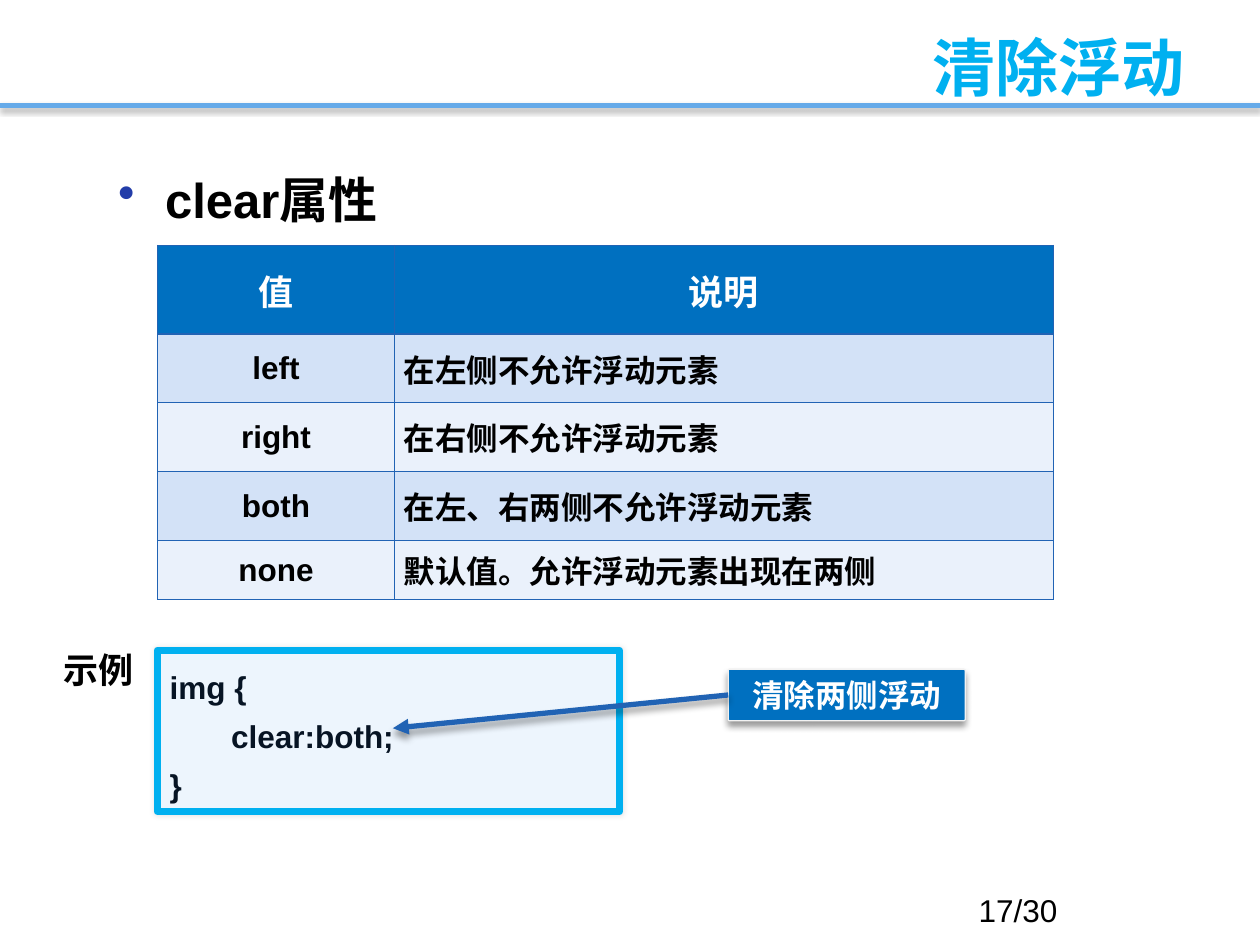
import lxml.etree
import pptx
import pptx.dml.color
import pptx.enum.shapes
import pptx.enum.text
import pptx.oxml.ns
import pptx.util
from pptx.util import Cm, Pt

ALIGN = pptx.enum.text.PP_ALIGN
ANCHOR = pptx.enum.text.MSO_ANCHOR
SHAPE = pptx.enum.shapes.MSO_SHAPE
STRAIGHT = pptx.enum.shapes.MSO_CONNECTOR.STRAIGHT
BLUE, SKY, NAVY = "0070C0", "00B0F0", "2163B4"


def rgb(value):
    """Turn a hex string into a colour."""
    return pptx.dml.color.RGBColor.from_string(value)


def add_xml(parent, tag, **attributes):
    """Append a DrawingML child element and return it."""
    return lxml.etree.SubElement(parent, pptx.oxml.ns.qn("a:" + tag), attributes)


def add_shadow(properties, opacity, blur, distance):
    """Give shape or text properties a black shadow falling downwards."""
    shadow = add_xml(add_xml(properties, "effectLst"), "outerShdw", blurRad=str(Pt(blur)),
                     dist=str(Pt(distance)), dir="5400000", algn="t", rotWithShape="0")
    add_xml(add_xml(shadow, "srgbClr", val="000000"), "alpha", val=str(opacity * 1000))


def style(paragraph, size, color="000000", bold=True, align=ALIGN.LEFT, font="Arial"):
    """Set the font and alignment of a paragraph."""
    paragraph.alignment = align
    paragraph.font.name = font
    paragraph.font.size = Pt(size)
    paragraph.font.bold = bold
    paragraph.font.color.rgb = rgb(color)


def add_text(slide, box, text, size, anchor=ANCHOR.TOP, wrap=True, **look):
    """Add a one-paragraph text box and return its paragraph."""
    frame = slide.shapes.add_textbox(*map(Cm, box)).text_frame
    frame.word_wrap = wrap
    frame.vertical_anchor = anchor
    paragraph = frame.paragraphs[0]
    paragraph.text = text
    style(paragraph, size, **look)
    return paragraph


def add_line(slide, start, end, color):
    """Draw a straight three-point line."""
    line = slide.shapes.add_connector(STRAIGHT, *map(Cm, (*start, *end)))
    line.line.color.rgb = rgb(color)
    line.line.width = Pt(3)
    return line


def add_panel(slide, box, kind, fill, border, weight):
    """Draw a filled and outlined shape."""
    panel = slide.shapes.add_shape(kind, *map(Cm, box))
    panel.shadow.inherit = False
    panel.fill.solid()
    panel.fill.fore_color.rgb = rgb(fill)
    panel.line.color.rgb = rgb(border)
    panel.line.width = Pt(weight)
    panel.text_frame.word_wrap = True
    return panel


def replace_shadow(shape, opacity, blur, distance):
    """Swap the empty effect list of a shape for a shadow."""
    properties = shape._element.spPr
    for effects in properties.findall(pptx.oxml.ns.qn("a:effectLst")):
        properties.remove(effects)
    add_shadow(properties, opacity, blur, distance)


def add_header(slide, box):
    """Place the title above the rule that closes the header."""
    left, top, width, height = box
    rule = add_line(slide, (left, top + height), (left + width, top + height), "65AAE9")
    replace_shadow(rule, 35, 3.1, 1.8)
    add_text(slide, (left + 8.28, top + 0.33, 15.85, 2), "清除浮动", 36,
             anchor=ANCHOR.MIDDLE, color=SKY, align=ALIGN.RIGHT)


def add_topic(slide, box):
    """Place the bulleted topic."""
    topic = add_text(slide, box, "clear属性", 28)
    properties = topic._p.get_or_add_pPr()
    properties.set("marL", str(Cm(0.95)))
    properties.set("indent", str(Cm(-0.95)))
    bullet_color = lxml.etree.Element(pptx.oxml.ns.qn("a:buClr"))
    add_xml(bullet_color, "srgbClr", val="233DA9")
    bullet = lxml.etree.Element(pptx.oxml.ns.qn("a:buChar"), char="•")
    properties.insert(0, bullet_color)
    properties.insert(1, bullet)


def fill_cell(cell, text, size, color, fill, align):
    """Write a table cell and set its borders and fill."""
    cell.text = text
    cell.vertical_anchor = ANCHOR.MIDDLE
    cell.margin_left = cell.margin_right = Cm(0.19)
    cell.margin_top = cell.margin_bottom = 0
    style(cell.text_frame.paragraphs[0], size, color, align=align)
    for side in ("lnL", "lnR", "lnT", "lnB"):
        border = add_xml(cell._tc.get_or_add_tcPr(), side, w=str(Pt(1)))
        add_xml(add_xml(border, "solidFill"), "srgbClr", val=NAVY)
    cell.fill.solid()
    cell.fill.fore_color.rgb = rgb(fill)


def add_values(slide, box):
    """Place the table of property values."""
    entries = [("值", "说明"), ("left", "在左侧不允许浮动元素"), ("right", "在右侧不允许浮动元素"),
               ("both", "在左、右两侧不允许浮动元素"), ("none", "默认值。允许浮动元素出现在两侧")]
    values = slide.shapes.add_table(len(entries), 2, *map(Cm, box)).table
    value_width = 4.77
    for column, width in zip(values.columns, (value_width, box[2] - value_width)):
        column.width = Cm(width)
    for row, height in zip(values.rows, (1.78, 1.39, 1.39, 1.39, 1.19)):
        row.height = Cm(height)
    for r, entry in enumerate(entries):
        header = r == 0
        fill = BLUE if header else ("EAF1FB", "D3E2F7")[r % 2]
        for c, text in enumerate(entry):
            align = ALIGN.CENTER if header or c == 0 else ALIGN.LEFT
            fill_cell(values.cell(r, c), text, 20 if header else 18,
                      "FFFFFF" if header else "000000", fill, align)


def add_example(slide, box):
    """Place the label, the code and the callout that points into it."""
    left, top, width, height = box
    code = add_panel(slide, (left + 2.13, top + 0.18, 9.32, height - 0.18),
                     SHAPE.RECTANGLE, "EDF5FD", SKY, 4)
    replace_shadow(code, 10, 3, 0)
    code.text_frame.vertical_anchor = ANCHOR.TOP
    code.text_frame.text = "img {\n\tclear:both;\n}"
    for line in code.text_frame.paragraphs:
        tabs = add_xml(line._p.get_or_add_pPr(), "tabLst")
        add_xml(tabs, "tab", pos=str(Cm(1.24)), algn="l")
        style(line, 18, "071424")
        line.line_spacing = 1.3

    label = add_text(slide, (left, top, 1.96, 1.12), "示例", 20, anchor=ANCHOR.MIDDLE,
                     wrap=False, font="Noto Sans CJK SC")
    add_shadow(label.runs[0]._r.get_or_add_rPr(), 40, 3, 2)

    callout = add_panel(slide, (left + width - 4.78, top + 0.56, 4.78, 1.04),
                        SHAPE.ROUNDED_RECTANGLE, BLUE, "F2F2F2", 0.75)
    callout.adjustments[0] = 0.03
    replace_shadow(callout, 40, 4, 3)
    callout.text_frame.vertical_anchor = ANCHOR.BOTTOM
    callout.text_frame.text = "清除两侧浮动"
    style(callout.text_frame.paragraphs[0], 18, "FFFFFF", align=ALIGN.CENTER)

    tip = (left + 6.88, top + 1.75)
    arrow = add_line(slide, tip, tip, NAVY)
    arrow.begin_connect(callout, 1)
    add_xml(arrow.line._get_or_add_ln(), "tailEnd", type="triangle")
    replace_shadow(arrow, 40, 4, 3)


def main():
    """Build and save the slide."""
    deck = pptx.Presentation()
    deck.slide_width, deck.slide_height = Cm(25.4), Cm(19.05)
    slide = deck.slides.add_slide(deck.slide_layouts[6])
    add_header(slide, (0, 0, 25.4, 2.13))
    add_topic(slide, (2.13, 3.3, 22.86, 1.65))
    add_values(slide, (3.18, 4.95, 18.06, 7.14))
    add_example(slide, (1.04, 12.93, 18.42, 3.43))
    add_text(slide, (19.48, 17.83, 5.92, 1.02), "17/30", 18, bold=False)
    deck.save("out.pptx")


if __name__ == "__main__":
    main()
